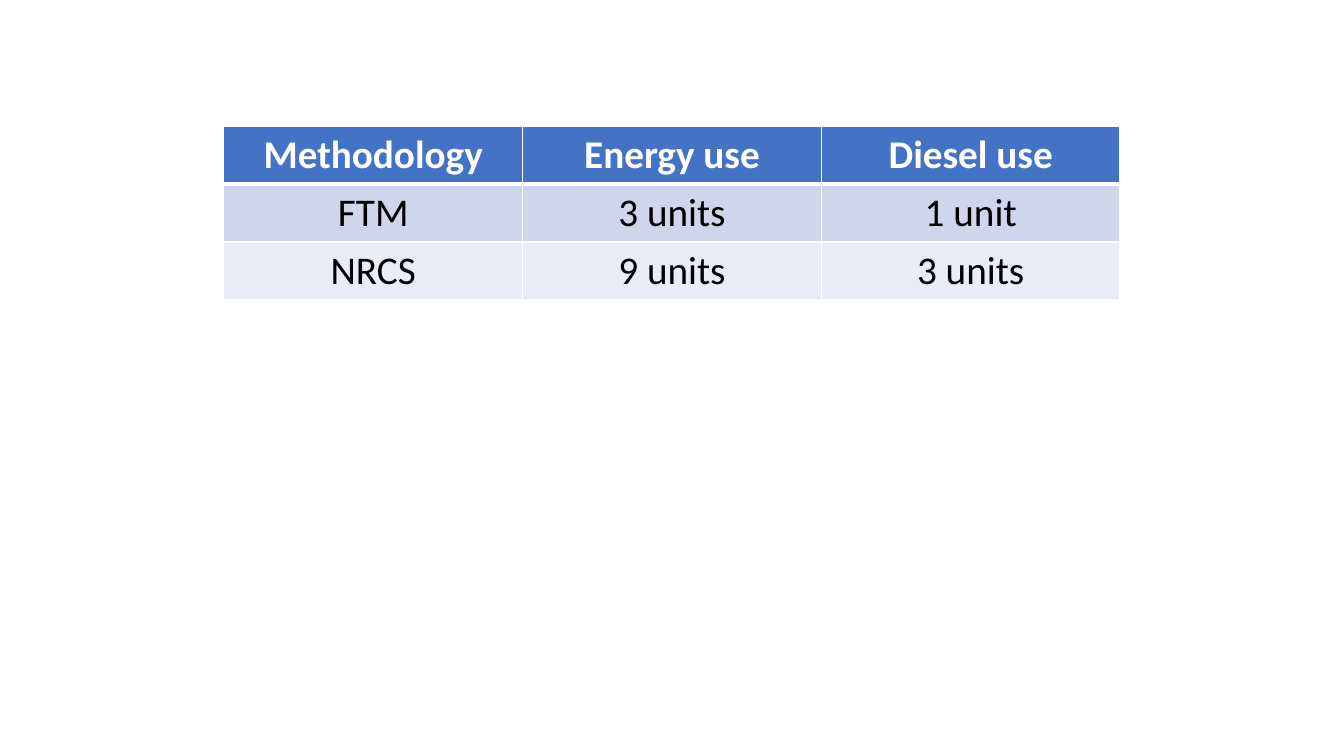
from lxml import etree
from pptx import Presentation
from pptx.dml.color import RGBColor
from pptx.enum.text import PP_ALIGN
from pptx.oxml.ns import qn
from pptx.util import Inches, Pt

CENTER = PP_ALIGN.CENTER
WHITE = RGBColor(0xFF, 0xFF, 0xFF)
BLACK = RGBColor(0, 0, 0)
BLUE = RGBColor(0x44, 0x72, 0xC4)
BANDS = [RGBColor(0xCF, 0xD5, 0xEA), RGBColor(0xE9, 0xEB, 0xF5)]
BLANK = 6

ROWS = [
    ["Methodology", "Energy use", "Diesel use"],
    ["FTM", "3 units", "1 unit"],
    ["NRCS", "9 units", "3 units"],
]


def add_edge(cell, side, width):
    props = cell._tc.get_or_add_tcPr()
    line = etree.SubElement(props, qn(f"a:ln{side}"), w=str(Pt(width)))
    fill = etree.SubElement(line, qn("a:solidFill"))
    etree.SubElement(fill, qn("a:srgbClr"), val=str(WHITE))


def fill_cell(cell, text, row):
    head = row == 0
    widths = {"L": 1, "R": 1, "T": 3 if row == 1 else 1, "B": 3 if head else 1}
    for side, width in widths.items():
        add_edge(cell, side, width)
    cell.fill.solid()
    cell.fill.fore_color.rgb = BLUE if head else BANDS[(row - 1) % 2]
    cell.text = text
    para = cell.text_frame.paragraphs[0]
    para.alignment = CENTER
    font = para.font
    font.name = "Calibri"
    font.size = Pt(28)
    font.bold = head
    font.color.rgb = WHITE if head else BLACK


def add_grid(slide, rows, left, top, width, height):
    frame = slide.shapes.add_table(
        len(rows), len(rows[0]), left, top, width, height
    )
    for row, texts in enumerate(rows):
        for col, text in enumerate(texts):
            fill_cell(frame.table.cell(row, col), text, row)


def main():
    deck = Presentation()
    deck.slide_width = Inches(13.33)
    deck.slide_height = Inches(7.5)
    slide = deck.slides.add_slide(deck.slide_layouts[BLANK])
    add_grid(slide, ROWS, Inches(2.22), Inches(1.25), Inches(8.89), Inches(1.7))
    deck.save("out.pptx")


if __name__ == "__main__":
    main()
